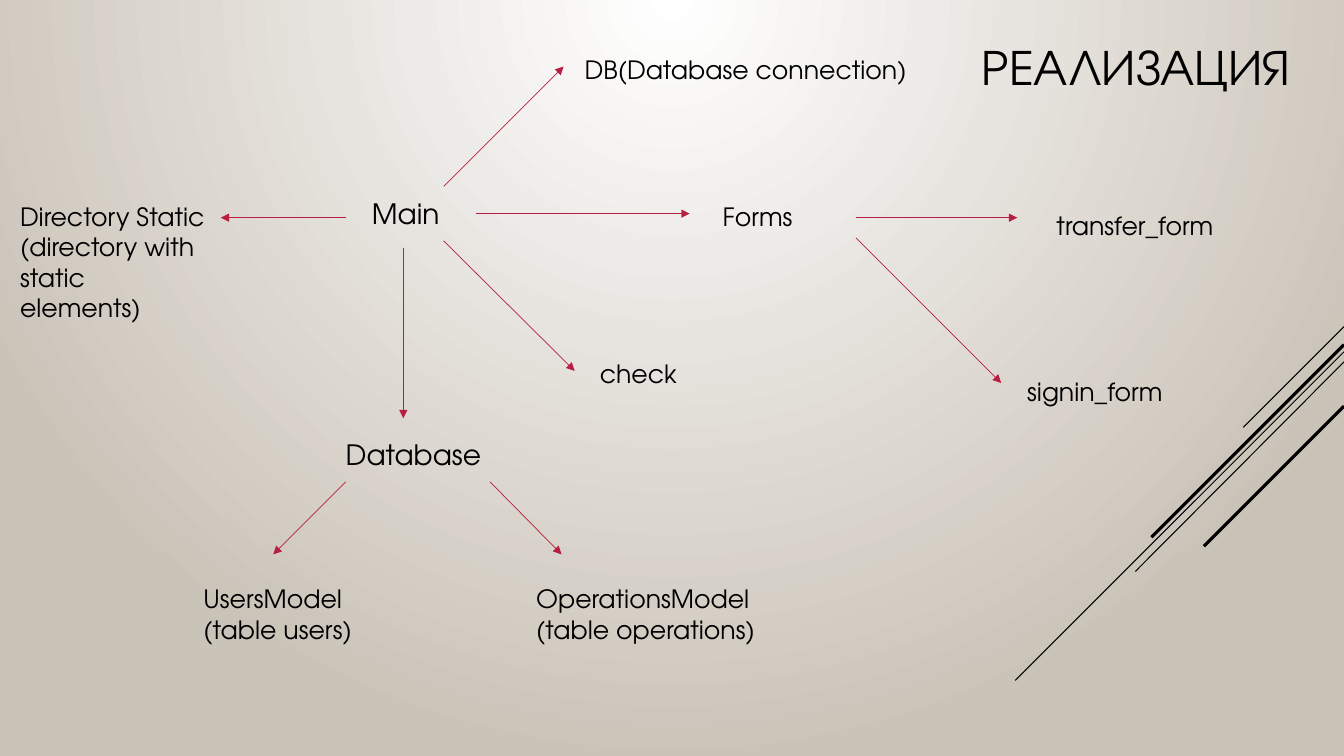
from lxml.etree import SubElement
from pptx import Presentation
from pptx.dml.color import RGBColor
from pptx.enum.shapes import MSO_CONNECTOR as Connector
from pptx.enum.text import MSO_ANCHOR as Anchor
from pptx.oxml.ns import qn
from pptx.util import Pt

PX = 9144
FONT = "TeX Gyre Adventor"
BLACK = RGBColor(0x00, 0x00, 0x00)
WHITE = RGBColor(0xFF, 0xFF, 0xFF)
SAND = RGBColor(0xCA, 0xC3, 0xB8)
CRIMSON = RGBColor(0xB7, 0x1E, 0x42)

prs = Presentation()
prs.slide_width = 1333 * PX
prs.slide_height = 750 * PX
slide = prs.slides.add_slide(prs.slide_layouts[6])


def add_line(start, end, color, width):
    line = slide.shapes.add_connector(
        Connector.STRAIGHT, *(value * PX for value in start + end))
    line.line.color.rgb = color
    line.line.width = Pt(width)
    SubElement(line._element.spPr, qn("a:effectLst"))
    return line


def add_label(box, paragraphs, size, anchor):
    frame = slide.shapes.add_textbox(*(value * PX for value in box)).text_frame
    frame.word_wrap = True
    frame.vertical_anchor = anchor
    for index, text in enumerate(paragraphs):
        paragraph = frame.add_paragraph() if index else frame.paragraphs[0]
        run = paragraph.add_run()
        run.text = text
        run.font.name = FONT
        run.font.size = Pt(size)
        run.font.color.rgb = BLACK


backdrop = slide.background.fill
backdrop.gradient()
for stop, color in zip(backdrop.gradient_stops, (WHITE, SAND)):
    stop.color.rgb = color
gradient = slide._element.find(".//" + qn("a:gradFill"))
gradient.remove(gradient.find(qn("a:lin")))
circle = SubElement(gradient, qn("a:path"), {"path": "circle"})
SubElement(circle, qn("a:fillToRect"), {"b": "100000"})

corner_stripes = [
    (324, 1233, 424, 0.75),
    (349, 1007, 675, 0.75),
    (359, 1126, 567, 0.75),
    (342, 1142, 533, 2.25),
    (403, 1194, 542, 2.25),
]
for edge_y, end_x, end_y, width in corner_stripes:
    add_line((1333, edge_y), (end_x, end_y), BLACK, width)

add_label((964, 9, 421, 111), ["РЕАЛИЗАЦИЯ"], 36, Anchor.MIDDLE)

for box, hub in [
    ((359, 185, 162, 54), "Main"),
    ((333, 424, 162, 54), "Database"),
]:
    add_label(box, [hub], 20, Anchor.MIDDLE)

modules = [
    ((192, 574, 197, 71), ["UsersModel", "(table users)"]),
    ((522, 574, 264, 71), ["OperationsModel", "(table operations)"]),
    ((10, 195, 209, 131), ["Directory Static", "(directory with static elements)"]),
    ((570, 49, 353, 40), ["DB(Database connection)"]),
    ((707, 195, 283, 40), ["Forms"]),
    ((1038, 204, 268, 40), ["transfer_form"]),
    ((1009, 368, 294, 40), ["signin_form"]),
    ((585, 351, 245, 40), ["check"]),
]
for box, paragraphs in modules:
    add_label(box, paragraphs, 18, Anchor.TOP)

dependencies = [
    ((400, 246), (400, 415)),
    ((343, 478), (271, 550)),
    ((486, 478), (557, 550)),
    ((343, 216), (219, 216)),
    ((472, 212), (684, 212)),
    ((440, 239), (570, 368)),
    ((440, 185), (559, 66)),
    ((849, 236), (993, 380)),
    ((849, 216), (1009, 216)),
]
for start, end in dependencies:
    arrow = add_line(start, end, CRIMSON, 0.5)
    SubElement(arrow.line._get_or_add_ln(), qn("a:tailEnd"), {"type": "triangle"})

prs.save("out.pptx")
